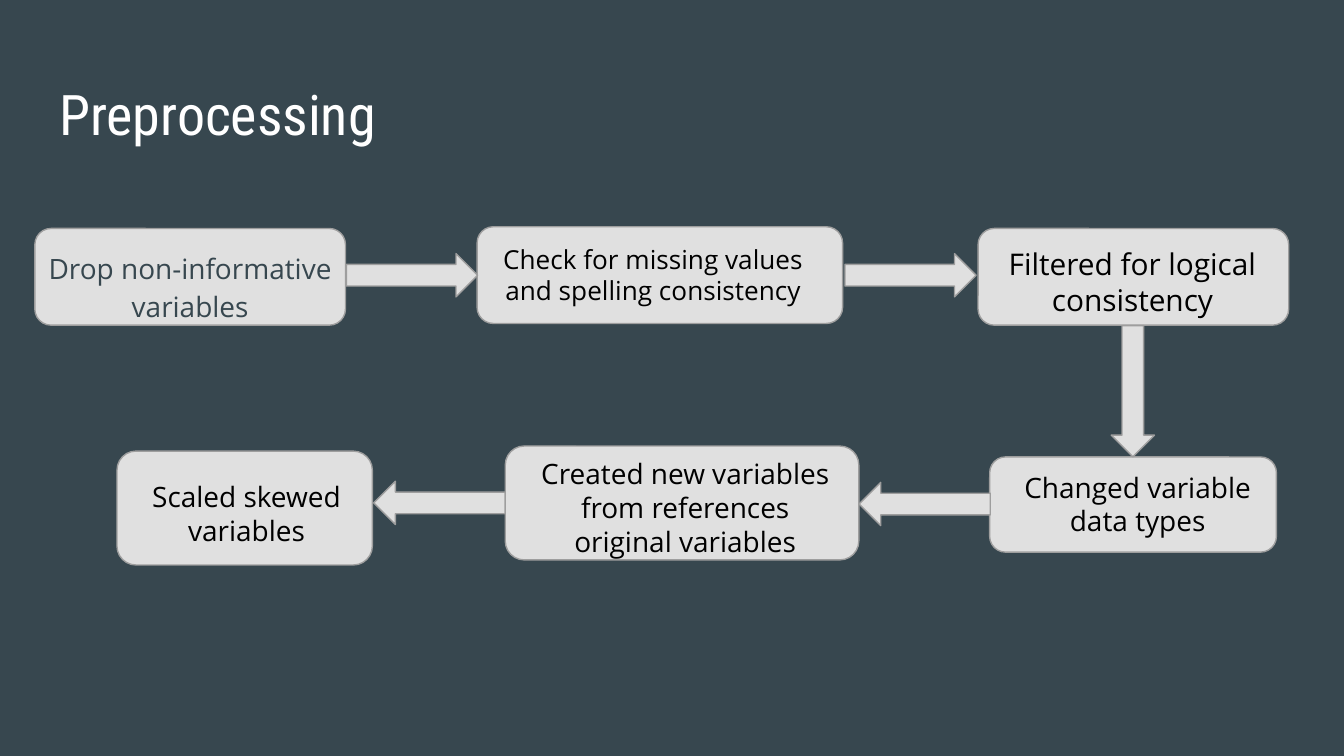
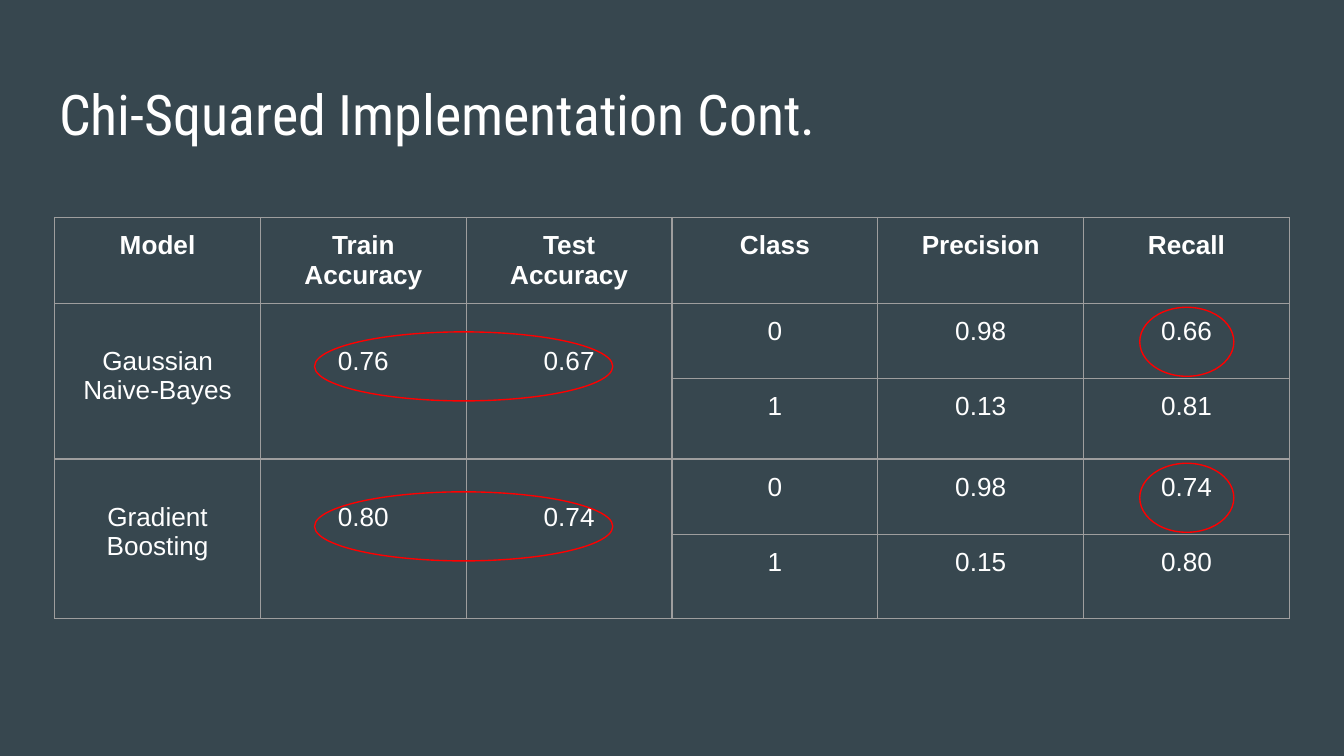
"""Build two slides: a preprocessing flow and a table of model results."""
from lxml import etree
from pptx import Presentation
from pptx.dml.color import RGBColor
from pptx.enum.shapes import MSO_SHAPE
from pptx.enum.text import MSO_ANCHOR, PP_ALIGN
from pptx.oxml.ns import qn
from pptx.util import Pt

ROUNDED, ARROW, OVAL = MSO_SHAPE.ROUNDED_RECTANGLE, MSO_SHAPE.RIGHT_ARROW, MSO_SHAPE.OVAL
TOP, LEFT, CENTER = MSO_ANCHOR.TOP, PP_ALIGN.LEFT, PP_ALIGN.CENTER
COLORS = {"slate": "37474F", "box": "E0E0E0", "edge": "9E9E9E",
          "white": "FFFFFF", "black": "000000", "ring": "FF0000"}
RGB = {name: RGBColor.from_string(value) for name, value in COLORS.items()}
INSET = Pt(7.2)


def format_text(tf, text, font, size, color, align=CENTER, bold=False):
    tf.text = text
    tf.word_wrap = True
    tf.vertical_anchor = TOP
    tf.margin_left = tf.margin_right = tf.margin_top = tf.margin_bottom = INSET
    for p in tf.paragraphs:
        p.alignment = align
        for r in p.runs:
            r.font.name, r.font.size, r.font.bold = font, Pt(size), bold
            r.font.color.rgb = RGB[color]


def add_outlined(s, kind, at, line, fill=None):
    sp = s.shapes.add_shape(kind, *map(Pt, at))
    sp.shadow.inherit = False
    sp.line.color.rgb = RGB[line]
    sp.line.width = Pt(0.75)
    if fill:
        sp.fill.solid()
        sp.fill.fore_color.rgb = RGB[fill]
    else:
        sp.fill.background()
    return sp


prs = Presentation()
prs.slide_width, prs.slide_height = Pt(720), Pt(405)
bg = prs.slide_master.background.fill
bg.solid()
bg.fore_color.rgb = RGB["slate"]

slides = []
for title in ("Preprocessing", "Chi-Squared Implementation Cont."):
    s = prs.slides.add_slide(prs.slide_layouts[5])
    sp = s.shapes.title
    sp.left, sp.top, sp.width, sp.height = Pt(24.5), Pt(35.3), Pt(671), Pt(45.4)
    format_text(sp.text_frame, title, "Roboto Condensed", 30, "white", LEFT)
    slides.append(s)
flow, results = slides

steps = [
    ("Drop non-informative variables", 15, "slate",
     (18.7, 122.4, 166.4, 51.8), (18.6, 124.6, 166.6, 33.8)),
    ("Check for missing values and spelling consistency", 14, "black",
     (255.6, 121.5, 195.8, 51.8), (259.2, 123.1, 181.4, 48.2)),
    ("Filtered for logical consistency", 16, "black",
     (524, 122.4, 166.4, 51.8), (530, 124.6, 153.4, 53.3)),
    ("Changed variable data types", 15, "black",
     (530.2, 244.8, 153.6, 51), (538.6, 244.8, 141.8, 51)),
    ("Created new variables from references original variables", 15, "black",
     (270.7, 239, 189.4, 61), (278.6, 237.6, 177.1, 69)),
    ("Scaled skewed variables", 15, "black",
     (62.7, 241.7, 136.8, 61), (68.4, 249.8, 127.4, 51)),
]
for text, size, color, box, label in steps:
    add_outlined(flow, ROUNDED, box, "edge", "box")
    sp = flow.shapes.add_textbox(*map(Pt, label))
    format_text(sp.text_frame, text, "Open Sans", size, color)
    if color == "slate":
        p = sp.text_frame.paragraphs[0]
        p.line_spacing, p.space_after = 1.15, Pt(12)

arrows = [(185.6, 135.9, 0), (452.7, 135.9, 0), (571.7, 198, 90),
          (460.2, 258.4, 180), (200.2, 257.8, 180)]
for x, y, angle in arrows:
    sp = add_outlined(flow, ARROW, (x, y, 70.3, 23.2), "edge", "box")
    sp.rotation = angle

rows = [
    ["Model", "Train Accuracy", "Test\nAccuracy", "Class", "Precision", "Recall"],
    ["Gaussian Naive-Bayes", "0.76", "0.67", "0", "0.98", "0.66"],
    [None, None, None, "1", "0.13", "0.81"],
    ["Gradient Boosting", "0.80", "0.74", "0", "0.98", "0.74"],
    [None, None, None, "1", "0.15", "0.80"],
]
heights = [40.3, 40.3, 43.2, 40.3, 45.3]
table = results.shapes.add_table(5, 6, Pt(29.3), Pt(116.5), Pt(661.5), Pt(sum(heights))).table
table.first_row = table.horz_banding = False
for col in table.columns:
    col.width = Pt(110.25)
for i, values in enumerate(rows):
    table.rows[i].height = Pt(heights[i])
    for j, value in enumerate(values):
        cell = table.cell(i, j)
        tcPr = cell._tc.get_or_add_tcPr()
        for side in ("a:lnL", "a:lnR", "a:lnT", "a:lnB"):
            ln = etree.SubElement(tcPr, qn(side), w=str(Pt(0.75)))
            fill = etree.SubElement(ln, qn("a:solidFill"))
            etree.SubElement(fill, qn("a:srgbClr"), val=COLORS["edge"])
        cell.fill.background()
        if value is None:
            continue
        format_text(cell.text_frame, value, "Arial", 14, "white", bold=i == 0)
        cell.margin_left = cell.margin_right = cell.margin_top = cell.margin_bottom = INSET
        cell.vertical_anchor = TOP
        if i and j < 3:
            cell.merge(table.cell(i + 1, j))
            cell.margin_top = Pt(23.3)

for x, width, tops in ((168.5, 159.8, (177.8, 263.5)), (610.6, 50.4, (164.6, 248.2))):
    for y in tops:
        add_outlined(results, OVAL, (x, y, width, 37), "ring")

prs.save("out.pptx")
